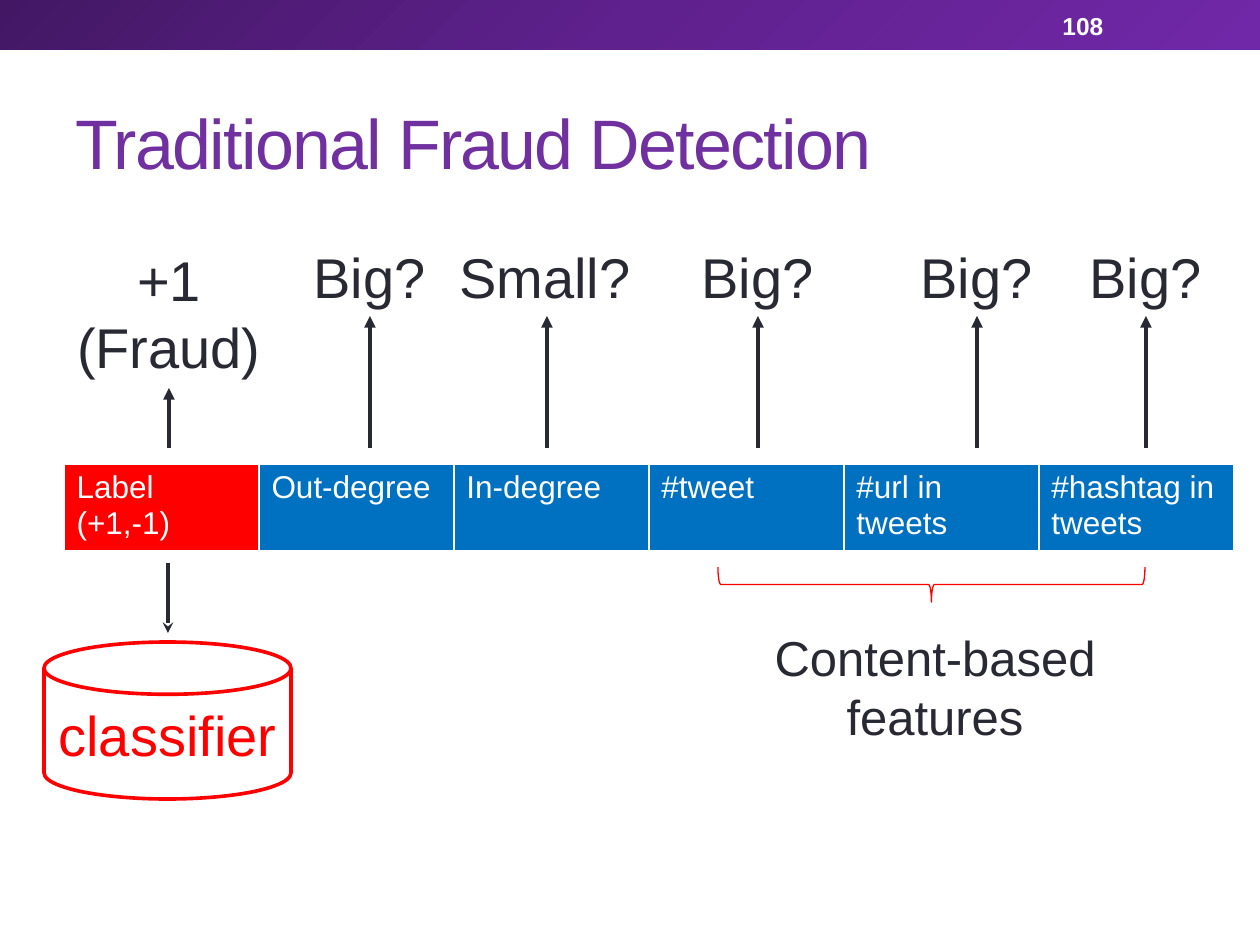
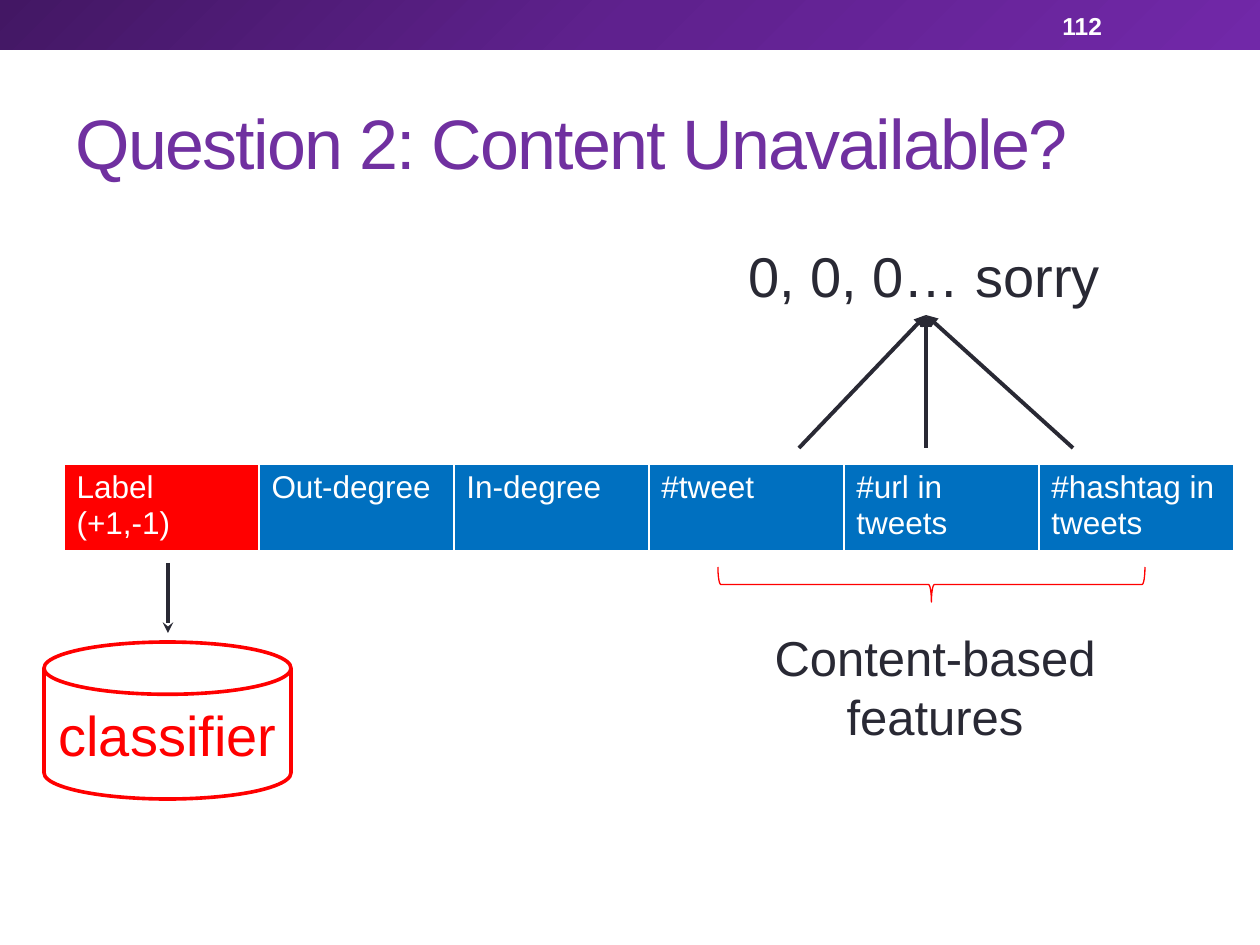
"""Build two slides on fraud detection features and save them as out.pptx."""
import copy
from dataclasses import dataclass

import lxml.etree
import pptx
import pptx.dml.color
import pptx.enum.shapes
import pptx.enum.text
import pptx.oxml.ns
import pptx.util

EMU_PER_PX = 914400 / 126
FONT = "Arial"
WHITE = "FFFFFF"
RED = "FF0000"
BLUE = "0070C0"
PURPLE = "7030A0"
INK = "292934"
BAND_STOPS = ((0, "431764"), (0.5, "5F218E"), (1, "7128A8"))
FEATURES = ("Label\n(+1,-1)", "Out-degree", "In-degree", "#tweet", "#url in tweets", "#hashtag in tweets")
COLUMN_WIDTH = 195
ARROW_START_Y = 448
SHAPES = pptx.enum.shapes.MSO_SHAPE
LEFT = pptx.enum.text.PP_ALIGN.LEFT
CENTER = pptx.enum.text.PP_ALIGN.CENTER
TOP = pptx.enum.text.MSO_ANCHOR.TOP
MIDDLE = pptx.enum.text.MSO_ANCHOR.MIDDLE


@dataclass(frozen=True)
class Box:
    """A rectangle in px."""
    left: int
    top: int
    width: int
    height: int

    def emu(self) -> tuple:
        """Return the four lengths in EMU."""
        return tuple(px(value) for value in (self.left, self.top, self.width, self.height))


@dataclass(frozen=True)
class Callout:
    """A comment above the table and the x positions its arrows come from."""
    text: str
    box: Box
    arrow_starts: tuple
    align: int = LEFT


@dataclass(frozen=True)
class Page:
    """The content that differs between slides."""
    title: str
    number: str
    callouts: tuple


def big_callout(left: int) -> Callout:
    """Return a "Big?" comment with a vertical arrow."""
    return Callout("Big?", Box(left, 236, 138, 80), (left + 69,))


PAGES = (
    Page("Traditional Fraud Detection", "108", (
        Callout("+1\n(Fraud)", Box(64, 239, 210, 149), (169,), CENTER),
        big_callout(301),
        Callout("Small?", Box(447, 236, 200, 80), (547,)),
        *(big_callout(left) for left in (689, 908, 1077)),
    )),
    Page("Question 2: Content Unavailable?", "112", (
        Callout("0, 0, 0… sorry", Box(736, 235, 380, 80), (799, 926, 1073)),
    )),
)


def px(value: float) -> int:
    """Convert px to EMU."""
    return round(value * EMU_PER_PX)


def rgb(color: str) -> pptx.dml.color.RGBColor:
    """Turn a hex string into a colour."""
    return pptx.dml.color.RGBColor.from_string(color)


def add_element(parent, tag: str, **attributes: str):
    """Append a DrawingML element."""
    return lxml.etree.SubElement(parent, pptx.oxml.ns.qn(tag), attributes)


def write(text_frame, text: str, size: int, color: str, align: int = LEFT,
          anchor: int = TOP, bold: bool = False) -> None:
    """Set the text of a frame and format its runs."""
    text_frame.text = text
    text_frame.vertical_anchor = anchor
    for paragraph in text_frame.paragraphs:
        paragraph.alignment = align
        for run in paragraph.runs:
            run.font.name = FONT
            run.font.size = pptx.util.Pt(size)
            run.font.bold = bold
            run.font.color.rgb = rgb(color)


def add_text(slide, box: Box, text: str, size: int, color: str, align: int = LEFT,
             anchor: int = TOP, bold: bool = False):
    """Add a text box."""
    shape = slide.shapes.add_textbox(*box.emu())
    shape.text_frame.word_wrap = False
    write(shape.text_frame, text, size, color, align, anchor, bold)
    return shape


def add_preset(slide, kind: int, box: Box):
    """Add a preset shape without a shadow."""
    shape = slide.shapes.add_shape(kind, *box.emu())
    shape.shadow.inherit = False
    return shape


def add_outline(slide, kind: int, box: Box, width: float):
    """Add an unfilled preset shape with a red outline."""
    shape = add_preset(slide, kind, box)
    shape.fill.background()
    shape.line.color.rgb = rgb(RED)
    shape.line.width = pptx.util.Pt(width)
    return shape


def add_arrow(slide, start: tuple, end: tuple, width: float, head: str):
    """Add a straight arrow that points at its end."""
    arrow = slide.shapes.add_connector(
        pptx.enum.shapes.MSO_CONNECTOR.STRAIGHT, *(px(value) for value in start + end))
    arrow.line.color.rgb = rgb(INK)
    arrow.line.width = pptx.util.Pt(width)
    properties = arrow._element.spPr
    add_element(properties.find(pptx.oxml.ns.qn("a:ln")), "a:tailEnd", type=head)
    add_element(properties, "a:effectLst")
    return arrow


def add_band(slide) -> None:
    """Add the gradient band along the top edge."""
    band = add_preset(slide, SHAPES.RECTANGLE, Box(0, 0, 1260, 50))
    band.line.fill.background()
    band.fill.gradient()
    band.fill.gradient_angle = 315
    stop_list = band._element.spPr.find(".//" + pptx.oxml.ns.qn("a:gsLst"))
    stop_list.append(copy.deepcopy(stop_list[-1]))
    for stop, (position, color) in zip(band.fill.gradient_stops, BAND_STOPS):
        stop.position = position
        stop.color.rgb = rgb(color)


def add_heading(slide, page: Page) -> None:
    """Fill the title and add the band with the page number."""
    add_band(slide)
    title = slide.shapes.title
    title.left, title.top, title.width, title.height = Box(63, 73, 1134, 136).emu()
    title.text_frame.auto_size = pptx.enum.text.MSO_AUTO_SIZE.NONE
    write(title.text_frame, page.title, 40, PURPLE, anchor=MIDDLE)
    for run in title.text_frame.paragraphs[0].runs:
        run._r.get_or_add_rPr().set("spc", "-100")
    add_text(slide, Box(1050, 3, 147, 45), page.number, 14, WHITE, anchor=MIDDLE, bold=True)


def add_feature_table(slide) -> None:
    """Add the one-row table of features."""
    box = Box(64, 464, COLUMN_WIDTH * len(FEATURES), 82)
    table = slide.shapes.add_table(1, len(FEATURES), *box.emu()).table
    table.first_row = False
    table.horz_banding = False
    for index, feature in enumerate(FEATURES):
        table.columns[index].width = px(COLUMN_WIDTH)
        cell = table.cell(0, index)
        write(cell.text_frame, feature, 18, WHITE)
        properties = cell._tc.get_or_add_tcPr()
        for side, points in (("L", 1), ("R", 1), ("T", 1), ("B", 3)):
            border = add_element(properties, f"a:ln{side}", w=str(pptx.util.Pt(points)))
            add_element(add_element(border, "a:solidFill"), "a:srgbClr", val=WHITE)
        cell.fill.solid()
        cell.fill.fore_color.rgb = rgb(BLUE if index else RED)


def add_classifier(slide) -> None:
    """Add the classifier cylinder and the arrow leading to it."""
    add_arrow(slide, (168, 563), (168, 633), 2.08, "stealth")
    cylinder = add_outline(slide, SHAPES.FLOWCHART_MAGNETIC_DISK, Box(44, 642, 247, 157), 2.08)
    cylinder.text_frame.word_wrap = False
    write(cylinder.text_frame, "classifier", 32, RED, CENTER, MIDDLE)


def add_content_group(slide) -> None:
    """Add the brace under the content-based features and its label."""
    brace = add_outline(slide, SHAPES.LEFT_BRACE, Box(914, 371, 35, 427), 0.75)
    brace.rotation = 270
    add_text(slide, Box(760, 621, 350, 131), "Content-based\nfeatures", 28, INK, CENTER)


def add_callout(slide, callout: Callout) -> None:
    """Add a comment with arrows joined to its bottom side."""
    box = callout.box
    label = add_text(slide, box, callout.text, 32, INK, callout.align)
    end = (box.left + box.width // 2, box.top + box.height)
    for start_x in callout.arrow_starts:
        arrow = add_arrow(slide, (start_x, ARROW_START_Y), end, 2.25, "triangle")
        arrow.end_connect(label, 2)


def main() -> None:
    """Build the presentation."""
    presentation = pptx.Presentation()
    presentation.slide_width = px(1260)
    presentation.slide_height = px(945)
    for page in PAGES:
        slide = presentation.slides.add_slide(presentation.slide_layouts[5])
        add_heading(slide, page)
        add_feature_table(slide)
        add_classifier(slide)
        add_content_group(slide)
        for callout in page.callouts:
            add_callout(slide, callout)
    presentation.save("out.pptx")


if __name__ == "__main__":
    main()
